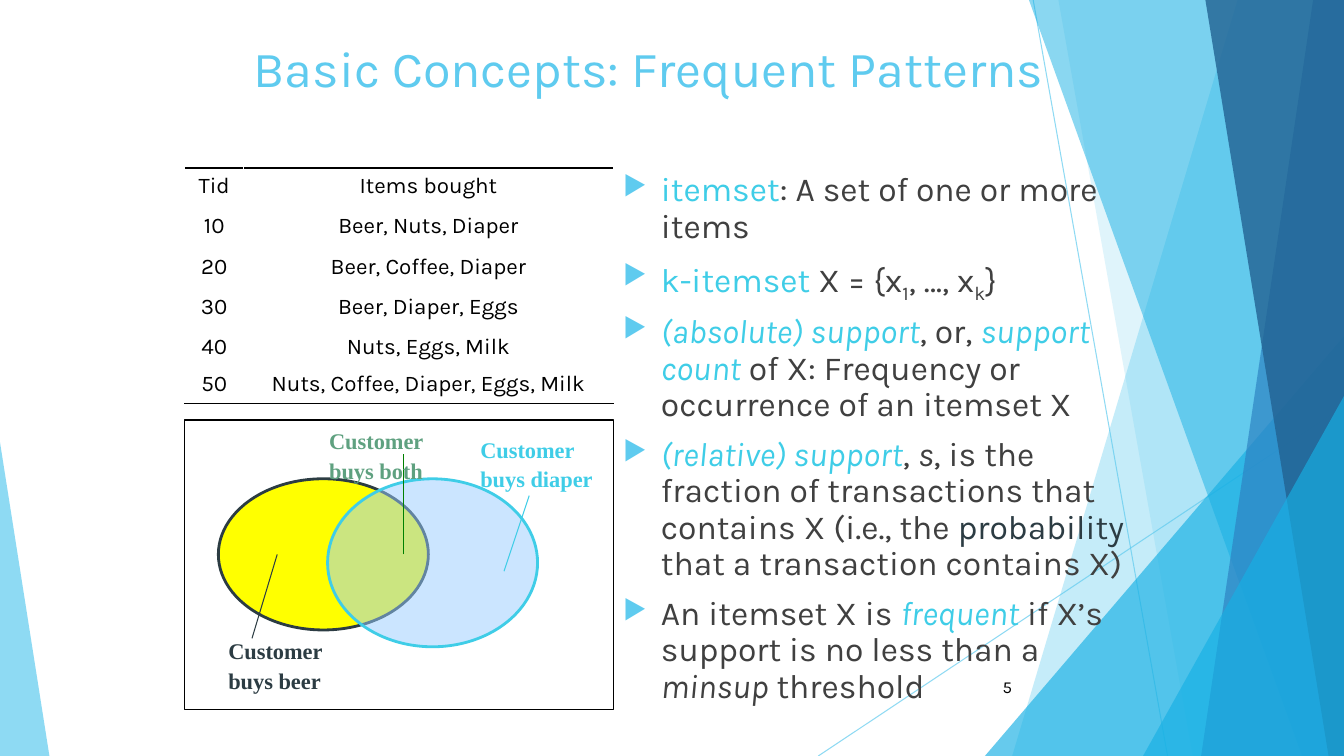
from dataclasses import dataclass

from lxml import etree
from pptx import Presentation
from pptx.dml.color import RGBColor
from pptx.enum.shapes import MSO_CONNECTOR, MSO_SHAPE
from pptx.enum.text import MSO_ANCHOR, MSO_AUTO_SIZE, PP_ALIGN
from pptx.oxml.ns import qn
from pptx.util import Pt

LEFT, CENTER, RIGHT = PP_ALIGN.LEFT, PP_ALIGN.CENTER, PP_ALIGN.RIGHT
TOP, MIDDLE = MSO_ANCHOR.TOP, MSO_ANCHOR.MIDDLE
OVAL, RECT, WEDGE = MSO_SHAPE.OVAL, MSO_SHAPE.RECTANGLE, MSO_SHAPE.ISOSCELES_TRIANGLE


@dataclass(frozen=True)
class Theme:
    sans: str = "Karla"
    serif: str = "Times New Roman"
    sky: str = "5FCBEF"
    deep: str = "17B0E4"
    blue: str = "2E83C3"
    navy: str = "226292"
    accent: str = "3FCDE7"
    text: str = "404040"
    dark: str = "2C3C43"
    black: str = "000000"
    yellow: str = "FFFF00"
    pale: str = "99CCFF"
    green: str = "008000"
    sage: str = "5FA180"
    head: int = 36
    body: int = 24
    small: int = 16
    note: int = 12


T = Theme()
WIDE, HIGH = 960, 540

TITLE = "Basic Concepts: Frequent Patterns"
NUMBER = "5"
ROWS = [
    ("Tid", "Items bought"),
    ("10", "Beer, Nuts, Diaper"),
    ("20", "Beer, Coffee, Diaper"),
    ("30", "Beer, Diaper, Eggs"),
    ("40", "Nuts, Eggs, Milk"),
    ("50", "Nuts, Coffee, Diaper, Eggs, Milk"),
]
PLAIN, KEY, TERM, ITAL, SUB, DARK = "plain", "key", "term", "ital", "sub", "dark"
POINTS = [
    [("itemset", KEY), (": A set of one or more items", PLAIN)],
    [("k-itemset", KEY), (" X = {x", PLAIN), ("1", SUB), (", …, x", PLAIN),
     ("k", SUB), ("}", PLAIN)],
    [("(absolute) support", TERM), (", or, ", PLAIN), ("support count", TERM),
     (" of X: Frequency or occurrence of an itemset X", PLAIN)],
    [("(relative) support", TERM), (", ", PLAIN), ("s", ITAL),
     (", is the fraction of transactions that contains X (i.e., the ", PLAIN),
     ("probability", DARK), (" that a transaction contains X)", PLAIN)],
    [("An itemset X is ", PLAIN), ("frequent", TERM),
     (" if X’s support is no less than a ", PLAIN), ("minsup", ITAL),
     (" threshold", PLAIN)],
]
TINTS = {KEY: T.accent, TERM: T.accent, DARK: T.dark}

RAYS = [(738, 0, 834, HIGH), (WIDE, 290, 584.5, HIGH)]
DECOR = [
    ("band", (884, 723), T.sky, 36),
    ("band", (756, 852), T.sky, 20),
    ("wedge", (703.5, 240, 256.5, 300, 1), T.deep, 66),
    ("band", (735, 929.5), T.deep, 50),
    ("band", (938, 858), T.blue, 70),
    ("band", (861, 949), T.navy, 80),
    ("wedge", (816.5, 283, 143.5, 257, 1), T.deep, 66),
    ("wedge", (0, 316, 35.3, 224, 0), T.sky, 70),
]
SETS = [
    ((156, 342, 150, 108), T.yellow, 100, T.dark),
    ((234, 342, 150, 120), T.pale, 50, T.accent),
]
LEADS = [
    ((198, 396, 180, 456), T.dark),
    ((360, 408, 378, 354), T.accent),
    ((288, 396, 288, 324), T.green),
]
LABELS = [
    ("Customer\nbuys diaper", (336, 306, 96, 50), T.accent, True),
    ("Customer\nbuys both", (228, 300, 82, 50), T.sage, True),
    ("Customer\nbuys beer", (156, 450, 82, 50), T.dark, False),
]


def pts(box):
    return [Pt(v) for v in box]


def fade(item, alpha):
    if alpha < 100:
        for tone in item._element.iter(qn("a:srgbClr")):
            etree.SubElement(tone, qn("a:alpha"), val=str(alpha * 1000))


def paint(shape, fill=None, alpha=100, line=None, width=0.75):
    shape.shadow.inherit = False
    if fill:
        shape.fill.solid()
        shape.fill.fore_color.rgb = RGBColor.from_string(fill)
        fade(shape, alpha)
    else:
        shape.fill.background()
    if line:
        shape.line.color.rgb = RGBColor.from_string(line)
        shape.line.width = Pt(width)
    else:
        shape.line.fill.background()


def link(ends, color, alpha=100):
    line = slide.shapes.add_connector(MSO_CONNECTOR.STRAIGHT, *pts(ends))
    line.line.color.rgb = RGBColor.from_string(color)
    line.line.width = Pt(0.75)
    fade(line, alpha)
    etree.SubElement(line._element.spPr, qn("a:effectLst"))


def style(run, size, color, face=T.sans, bold=False):
    run.font.size, run.font.name, run.font.bold = Pt(size), face, bold
    run.font.color.rgb = RGBColor.from_string(color)


def write(frame, text, size, color, align=LEFT, face=T.sans, bold=False):
    frame.text = text
    for para in frame.paragraphs:
        para.alignment = align
        for run in para.runs:
            style(run, size, color, face, bold)


def text_box(box, anchor=TOP, wrap=True):
    frame = slide.shapes.add_textbox(*pts(box)).text_frame
    frame.word_wrap, frame.vertical_anchor = wrap, anchor
    return frame


def bullet(para):
    props = para._p.get_or_add_pPr()
    props.set("marL", str(Pt(27)))
    props.set("indent", str(-Pt(27)))
    tint = etree.SubElement(props, qn("a:buClr"))
    etree.SubElement(tint, qn("a:srgbClr"), val=T.sky)
    etree.SubElement(props, qn("a:buSzPct"), val="80000")
    etree.SubElement(props, qn("a:buChar"), char="▶")


def edge(cell, side):
    line = etree.Element(qn(side), w=str(Pt(1)))
    fill = etree.SubElement(line, qn("a:solidFill"))
    etree.SubElement(fill, qn("a:srgbClr"), val=T.black)
    cell._tc.get_or_add_tcPr().insert(0, line)


deck = Presentation()
deck.slide_width, deck.slide_height = Pt(WIDE), Pt(HIGH)
slide = deck.slides.add_slide(deck.slide_layouts[5])

for ends in RAYS:
    link(ends, T.sky, 70)
for kind, spot, color, alpha in DECOR:
    if kind == "band":
        top, low = spot
        path = slide.shapes.build_freeform(top, 0, Pt(1))
        path.add_line_segments([(WIDE, 0), (WIDE, HIGH), (low, HIGH)])
        shape = path.convert_to_shape()
    else:
        shape = slide.shapes.add_shape(WEDGE, *pts(spot[:4]))
        shape.adjustments[0] = spot[4]
    paint(shape, color, alpha)

title = slide.shapes.title
title.left, title.top, title.width, title.height = pts((174, 18, 630, 60))
write(title.text_frame, TITLE, T.head, T.sky)
title.text_frame.vertical_anchor = MIDDLE
title.text_frame.auto_size = MSO_AUTO_SIZE.NONE
slide.shapes._spTree.append(title._element)

body = text_box((438, 120, 390, 390))
for i, parts in enumerate(POINTS):
    para = body.add_paragraph() if i else body.paragraphs[0]
    para.line_spacing, para.space_before = 0.9, Pt(10)
    bullet(para)
    for text, kind in parts:
        run = para.add_run()
        run.text = text
        style(run, T.body, TINTS.get(kind, T.text))
        run.font.italic = kind in (TERM, ITAL)
        if kind == SUB:
            run._r.get_or_add_rPr().set("baseline", "-25000")

write(text_box((676, 476, 54, 29), MIDDLE), NUMBER, T.note, T.black, RIGHT)

for box, fill, alpha, line in SETS:
    paint(slide.shapes.add_shape(OVAL, *pts(box)), fill, alpha, line, 2)
for ends, color in LEADS:
    link(ends, color)
for text, box, color, wrap in LABELS:
    frame = text_box(box, wrap=wrap)
    write(frame, text, T.small, color, face=T.serif, bold=True)
    for para in frame.paragraphs:
        para.line_spacing = 1.1
paint(slide.shapes.add_shape(RECT, *pts((132, 300, 306, 207))), line=T.black)

table = slide.shapes.add_table(len(ROWS), 2, *pts((132, 120, 306, 168))).table
table.first_row = table.horz_banding = False
for col, width in zip(table.columns, (42, 264)):
    col.width = Pt(width)
for r, row in enumerate(ROWS):
    table.rows[r].height = Pt(28.8 if r < 4 else 26.4)
    for c, text in enumerate(row):
        cell = table.cell(r, c)
        cell.fill.background()
        write(cell.text_frame, text, T.small, T.black, CENTER)
        if r == 0:
            edge(cell, "a:lnT")
        if r == len(ROWS) - 1:
            edge(cell, "a:lnB")

deck.save("out.pptx")
